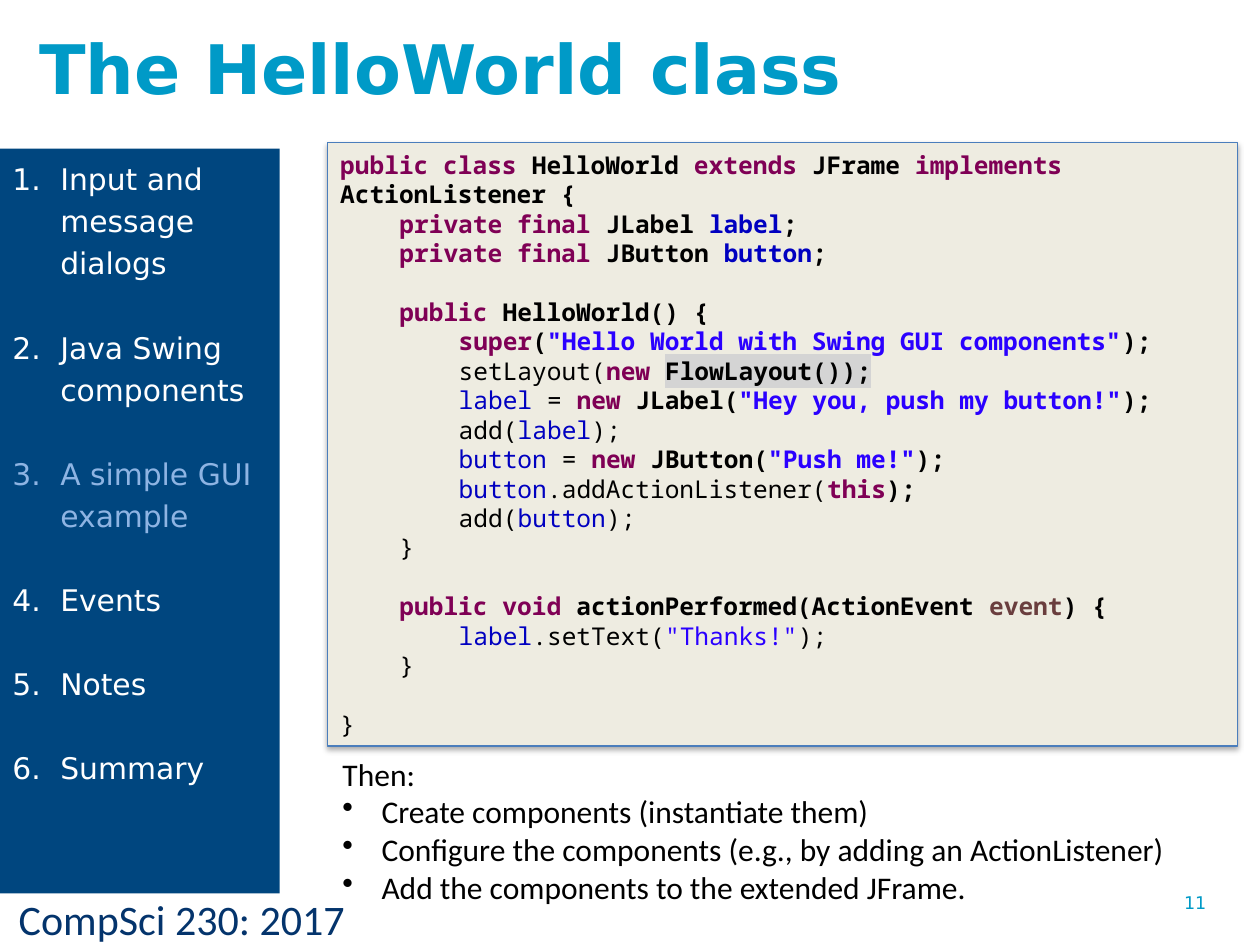
from typing import NamedTuple, Optional

from lxml import etree
from pptx import Presentation
from pptx import util as u
from pptx.dml.color import RGBColor
from pptx.enum import shapes, text
from pptx.oxml import ns

SANS, MONO, CALIBRI = "DejaVu Sans", "Noto Sans Mono", "Calibri"
TEAL, NAVY, SIDEBAR, PALE, WHITE, BLACK = (
    "009AC7", "04346C", "00467F", "8EB4E3", "FFFFFF", "000000")
CODE_LINE = 16.8   # points
CODE_INDENT = 0.47  # inches, four characters


class Style(NamedTuple):
    font: str
    size: float
    color: str
    bold: bool = False
    highlight: Optional[str] = None


class Run(NamedTuple):
    text: str
    style: Style


class Line(NamedTuple):
    """One paragraph; level counts code indents and gap is in points."""
    runs: list[Run]
    level: int = 0
    gap: float = 0


PLAIN = Style(MONO, 14, BLACK)
BOLD = PLAIN._replace(bold=True)
MARKED = BOLD._replace(highlight="D4D4D4")
KEYWORD = BOLD._replace(color="7F0055")
FIELD = PLAIN._replace(color="0000C0")
BOLD_FIELD = FIELD._replace(bold=True)
STRING = PLAIN._replace(color="2A00FF")
BOLD_STRING = STRING._replace(bold=True)
PARAMETER = BOLD._replace(color="6A3E3E")
NOTE = Style(CALIBRI, 18, BLACK)
TOPIC = Style(SANS, 17, WHITE)
CURRENT_TOPIC = TOPIC._replace(color=PALE)


def declare_field(type_name: str, name: str) -> Line:
    return Line([Run("private final ", KEYWORD), Run(type_name + " ", BOLD),
                 Run(name, BOLD_FIELD), Run(";", BOLD)], 1)


def create_component(name: str, type_name: str, label: str) -> Line:
    return Line([Run(name + " ", FIELD), Run("= ", PLAIN), Run("new ", KEYWORD),
                 Run(type_name + "(", BOLD), Run(label, BOLD_STRING), Run(");", BOLD)], 2)


def add_component(name: str) -> Line:
    return Line([Run("add(", PLAIN), Run(name, FIELD), Run(");", PLAIN)], 2)


CODE = [
    Line([Run("public class", KEYWORD), Run(" HelloWorld ", BOLD), Run("extends ", KEYWORD),
          Run("JFrame ", BOLD), Run("implements ", KEYWORD), Run("ActionListener {", BOLD)]),
    declare_field("JLabel", "label"),
    declare_field("JButton", "button"),
    Line([Run("public", KEYWORD), Run(" HelloWorld() {", BOLD)], 1, CODE_LINE),
    Line([Run("super", KEYWORD), Run("(", BOLD),
          Run('"Hello World with Swing GUI components"', BOLD_STRING), Run(");", BOLD)], 2),
    Line([Run("setLayout(", PLAIN), Run("new ", KEYWORD), Run("FlowLayout());", MARKED)], 2),
    create_component("label", "JLabel", '"Hey you, push my button!"'),
    add_component("label"),
    create_component("button", "JButton", '"Push me!"'),
    Line([Run("button", FIELD), Run(".addActionListener(", PLAIN),
          Run("this", KEYWORD), Run(");", BOLD)], 2),
    add_component("button"),
    Line([Run("}", PLAIN)], 1),
    Line([Run("public void ", KEYWORD), Run("actionPerformed(ActionEvent ", BOLD),
          Run("event", PARAMETER), Run(") {", BOLD)], 1, CODE_LINE),
    Line([Run("label", FIELD), Run(".setText(", PLAIN), Run('"Thanks!"', STRING),
          Run(");", PLAIN)], 2),
    Line([Run("}", PLAIN)], 1),
    Line([Run("}", PLAIN)], 0, CODE_LINE),
]
TOPICS = ["Input and message dialogs", "Java Swing components", "A simple GUI example",
          "Events", "Notes", "Summary"]
CURRENT = "A simple GUI example"
STEPS = ["Create components (instantiate them)",
         "Configure the components (e.g., by adding an ActionListener)",
         "Add the components to the extended JFrame."]


def rgb(color: str) -> RGBColor:
    return RGBColor.from_string(color)


def add_child(parent, tag: str, **attributes: str):
    return etree.SubElement(parent, ns.qn(tag), attributes)


def place(shape, left: float, top: float, width: float, height: float) -> None:
    shape.left, shape.top = u.Inches(left), u.Inches(top)
    shape.width, shape.height = u.Inches(width), u.Inches(height)


def prepare_frame(shape, anchor=text.MSO_ANCHOR.TOP):
    frame = shape.text_frame
    frame.word_wrap = True
    frame.auto_size = text.MSO_AUTO_SIZE.NONE
    frame.vertical_anchor = anchor
    return frame


def add_runs(paragraph, runs: list[Run]) -> None:
    for content, style in runs:
        run = paragraph.add_run()
        run.text = content
        font = run.font
        font.name, font.size, font.bold = style.font, u.Pt(style.size), style.bold
        font.color.rgb = rgb(style.color)
        if style.highlight:
            highlight = etree.Element(ns.qn("a:highlight"))
            add_child(highlight, "a:srgbClr", val=style.highlight)
            run._r.rPr.find(ns.qn("a:solidFill")).addnext(highlight)


def add_lines(frame, lines: list[Line], spacing: Optional[float] = None,
              hanging: float = 0, bullet: str = "a:buNone", **bullet_values: str) -> None:
    """Fill the frame, starting with its first paragraph if that is empty."""
    for line in lines:
        first = frame.paragraphs[0]
        paragraph = frame.add_paragraph() if first.runs else first
        paragraph.alignment = text.PP_ALIGN.LEFT
        paragraph.space_before = u.Pt(line.gap)
        if spacing:
            paragraph.line_spacing = u.Pt(spacing)
        properties = paragraph._p.get_or_add_pPr()
        properties.set("marL", str(u.Inches(hanging + line.level * CODE_INDENT)))
        properties.set("indent", str(-u.Inches(hanging)))
        add_child(properties, bullet, **bullet_values)
        add_runs(paragraph, line.runs)


def add_text(slide, box: tuple[float, float, float, float], run: Run):
    frame = prepare_frame(slide.shapes.add_textbox(*map(u.Inches, box)))
    add_lines(frame, [Line([run])])
    return frame


def add_panel(slide, box: tuple[float, float, float, float], fill: str):
    panel = slide.shapes.add_shape(shapes.MSO_SHAPE.RECTANGLE, *map(u.Inches, box))
    panel.shadow.inherit = False
    panel.fill.solid()
    panel.fill.fore_color.rgb = rgb(fill)
    panel.line.fill.background()
    return panel


def add_code(slide, body) -> None:
    panel = add_panel(slide, (2.6, 1.13, 7.22, 4.79), "EEECE1")
    panel.line.color.rgb = rgb("4B7EBC")
    panel.line.width = u.Pt(0.75)
    effects = panel._element.spPr.find(ns.qn("a:effectLst"))
    shadow = add_child(effects, "a:outerShdw", blurRad=str(u.Pt(3.1)), dist=str(u.Pt(1.8)),
                       dir="5400000", rotWithShape="0")
    add_child(add_child(shadow, "a:srgbClr", val=BLACK), "a:alpha", val="35000")
    body._element.addprevious(panel._element)
    place(body, 2.6, 1.14, 7.29, 4.79)
    add_lines(prepare_frame(body), CODE, CODE_LINE)


def add_sidebar(slide) -> None:
    frame = prepare_frame(add_panel(slide, (0, 1.18, 2.22, 5.91), SIDEBAR))
    lines = [Line([Run(topic, CURRENT_TOPIC if topic == CURRENT else TOPIC)],
                  gap=24 if number else 0) for number, topic in enumerate(TOPICS)]
    add_lines(frame, lines, 24, 0.38, "a:buAutoNum", type="arabicPeriod")


def main() -> None:
    presentation = Presentation()
    presentation.slide_width, presentation.slide_height = u.Inches(10), u.Inches(7.5)
    slide = presentation.slides.add_slide(presentation.slide_layouts[1])
    title, body = slide.placeholders
    place(title, 0.21, 0.14, 7.13, 0.78)
    add_lines(prepare_frame(title, text.MSO_ANCHOR.MIDDLE),
              [Line([Run("The HelloWorld class", Style(SANS, 39, TEAL, True))])])
    add_code(slide, body)
    add_text(slide, (0.05, 7.04, 4.05, 0.5), Run("CompSci 230: 2017", Style(CALIBRI, 24, NAVY)))
    add_text(slide, (9.3, 7.03, 0.7, 0.52), Run("11", Style(SANS, 10, TEAL)))
    steps = add_text(slide, (2.62, 5.94, 7.03, 1.31), Run("Then:", NOTE))
    add_lines(steps, [Line([Run(step, NOTE)]) for step in STEPS],
              hanging=0.31, bullet="a:buChar", char="•")
    add_sidebar(slide)
    presentation.save("out.pptx")


if __name__ == "__main__":
    main()
